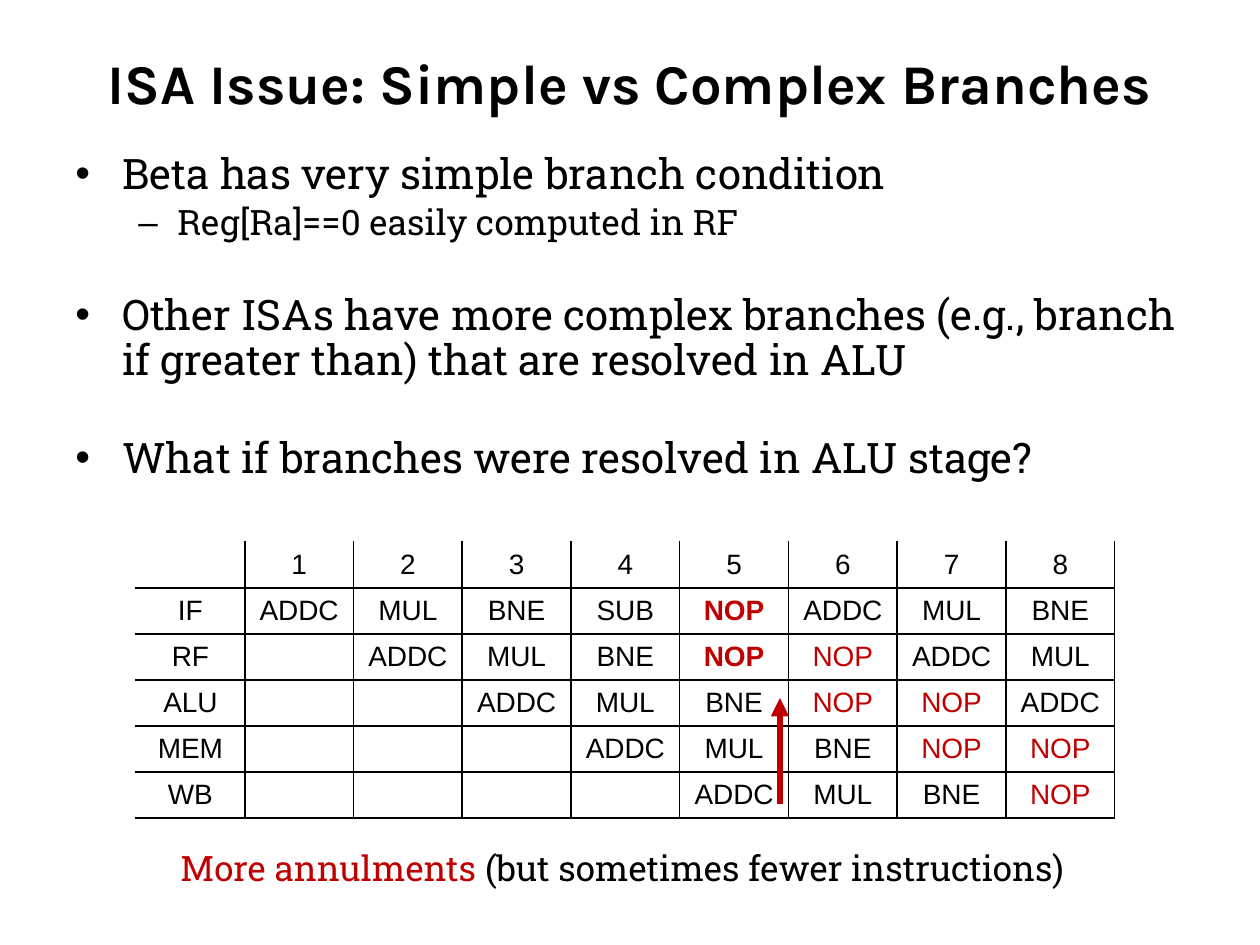
"""Build the slide on simple and complex branches."""
from typing import NamedTuple

from lxml import etree
from pptx import Presentation
from pptx.dml.color import RGBColor
from pptx.enum.shapes import MSO_CONNECTOR
from pptx.enum.text import MSO_ANCHOR, PP_ALIGN
from pptx.oxml.ns import qn
from pptx.util import Pt

STRAIGHT = MSO_CONNECTOR.STRAIGHT
MIDDLE = MSO_ANCHOR.MIDDLE
CENTER = PP_ALIGN.CENTER
SCALE = 914400 / 126
BLACK, RED = "000000", "C00000"
SLAB = "Roboto Slab"


class Box(NamedTuple):
    """Hold a place and size in px."""
    left: int
    top: int
    width: int
    height: int


class Point(NamedTuple):
    """Hold one bullet line."""
    text: str
    mark: str
    size: int
    left: int
    hang: int
    gap: int


POINTS = [
    Point("Beta has very simple branch condition", "•", 24, 47, 47, 0),
    Point("Reg[Ra]==0 easily computed in RF", "–", 20, 102, 39, 4),
    Point("Other ISAs have more complex branches (e.g., branch if greater than) "
          "that are resolved in ALU", "•", 24, 47, 47, 29),
    Point("What if branches were resolved in ALU stage?", "•", 24, 47, 47, 30),
]
STAGES = ["IF", "RF", "ALU", "MEM", "WB"]
FLOW = [
    "ADDC MUL BNE SUB NOP ADDC MUL BNE",
    "ADDC MUL BNE NOP NOP ADDC MUL",
    "ADDC MUL BNE NOP NOP ADDC",
    "ADDC MUL BNE NOP NOP",
    "ADDC MUL BNE NOP",
]
CYCLES = 8
BRANCH = 5


def emu(px: int) -> int:
    """Turn px into EMU."""
    return round(px * SCALE)


def place(box: Box) -> list[int]:
    """Turn a box into EMU lengths."""
    return [emu(px) for px in box]


def ink(hue: str) -> RGBColor:
    """Turn a hex string into a colour."""
    return RGBColor.from_string(hue)


def style(font, name: str, size: int, hue: str = BLACK, bold: bool = False) -> None:
    """Set the look of a font."""
    font.name, font.size, font.bold = name, Pt(size), bold
    font.color.rgb = ink(hue)


def add_text(slide, box: Box, wrap: bool = True):
    """Add a text box and return its frame."""
    frame = slide.shapes.add_textbox(*place(box)).text_frame
    frame.word_wrap = wrap
    return frame


def add_title(slide) -> None:
    """Add the slide title."""
    frame = add_text(slide, Box(63, 38, 1134, 88))
    frame.vertical_anchor = MIDDLE
    para = frame.paragraphs[0]
    para.text = "ISA Issue: Simple vs Complex Branches"
    para.alignment = CENTER
    style(para.font, "Karla", 32, bold=True)


def add_points(slide) -> None:
    """Add the bullet list."""
    frame = add_text(slide, Box(63, 147, 1134, 410))
    for i, point in enumerate(POINTS):
        para = frame.add_paragraph() if i else frame.paragraphs[0]
        para.text = point.text
        para.line_spacing = 0.9
        para.space_before = Pt(point.gap)
        style(para.font, SLAB, point.size)
        props = para._p.get_or_add_pPr()
        props.set("marL", str(emu(point.left)))
        props.set("indent", str(-emu(point.hang)))
        face = etree.Element(qn("a:buFont"), typeface="Arial")
        mark = etree.Element(qn("a:buChar"), char=point.mark)
        spot = props.index(props.find(qn("a:defRPr")))
        props[spot:spot] = [face, mark]


def add_edge(cell, side: str) -> None:
    """Draw one border of a cell."""
    line = etree.SubElement(cell._tc.get_or_add_tcPr(), qn(f"a:ln{side}"), w=str(Pt(1)))
    fill = etree.SubElement(line, qn("a:solidFill"))
    etree.SubElement(fill, qn("a:srgbClr"), val=BLACK)


def fill_cell(cell, text: str, row: int, col: int) -> None:
    """Set the text, borders and fill of a cell."""
    cell.margin_left = cell.margin_right = 0
    cell.margin_top = cell.margin_bottom = 0
    cell.vertical_anchor = MIDDLE
    for side, shown in (("L", col), ("R", True), ("T", row), ("B", True)):
        if shown:
            add_edge(cell, side)
    cell.fill.background()
    para = cell.text_frame.paragraphs[0]
    para.text = text
    para.alignment = CENTER
    void = text == "NOP"
    style(para.font, "Arial", 16, RED if void else BLACK, void and col == BRANCH)


def add_grid(slide) -> None:
    """Add the pipeline table."""
    rows = [["", *map(str, range(1, CYCLES + 1))]]
    for i, (stage, flow) in enumerate(zip(STAGES, FLOW)):
        rows.append([stage, *[""] * i, *flow.split()])
    box = Box(136, 542, 979, 276)
    table = slide.shapes.add_table(len(rows), CYCLES + 1, *place(box)).table
    table.first_row = table.horz_banding = False
    for r, row in enumerate(rows):
        for c, text in enumerate(row):
            fill_cell(table.cell(r, c), text, r, c)


def add_note(slide) -> None:
    """Add the closing remark."""
    para = add_text(slide, Box(168, 840, 941, 55), False).paragraphs[0]
    style(para.font, SLAB, 20)
    lead, rest = para.add_run(), para.add_run()
    lead.text = "More annulments "
    lead.font.color.rgb = ink(RED)
    rest.text = "(but sometimes fewer instructions)"


def add_arrow(slide) -> None:
    """Add the arrow up to the branch."""
    ends = place(Box(780, 804, 780, 698))
    arrow = slide.shapes.add_connector(STRAIGHT, *ends)
    arrow.line.color.rgb = ink(RED)
    arrow.line.width = Pt(3.5)
    etree.SubElement(arrow.line._get_or_add_ln(), qn("a:tailEnd"), type="triangle")
    etree.SubElement(arrow._element.spPr, qn("a:effectLst"))


def main() -> None:
    """Build and save the deck."""
    deck = Presentation()
    deck.slide_width, deck.slide_height = emu(1260), emu(945)
    slide = deck.slides.add_slide(deck.slide_layouts[6])
    for add in (add_title, add_points, add_grid, add_note, add_arrow):
        add(slide)
    deck.save("out.pptx")


if __name__ == "__main__":
    main()
